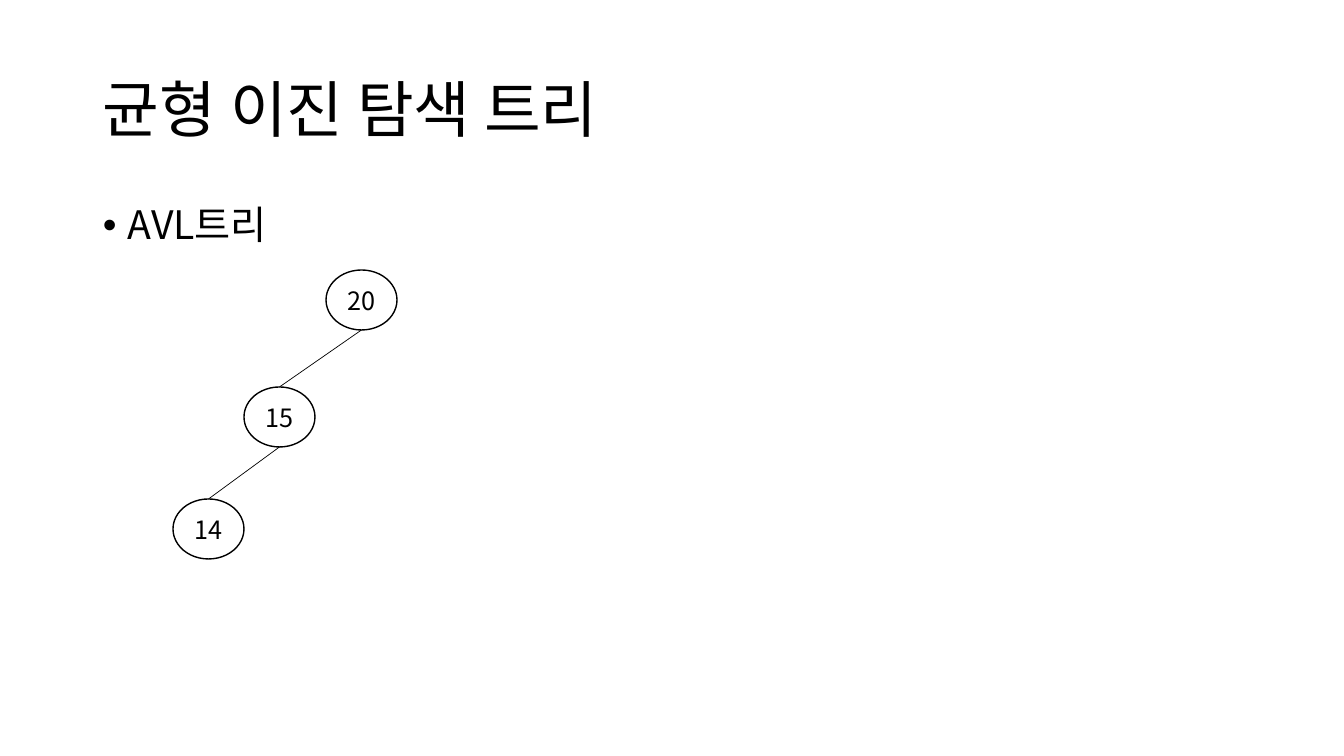
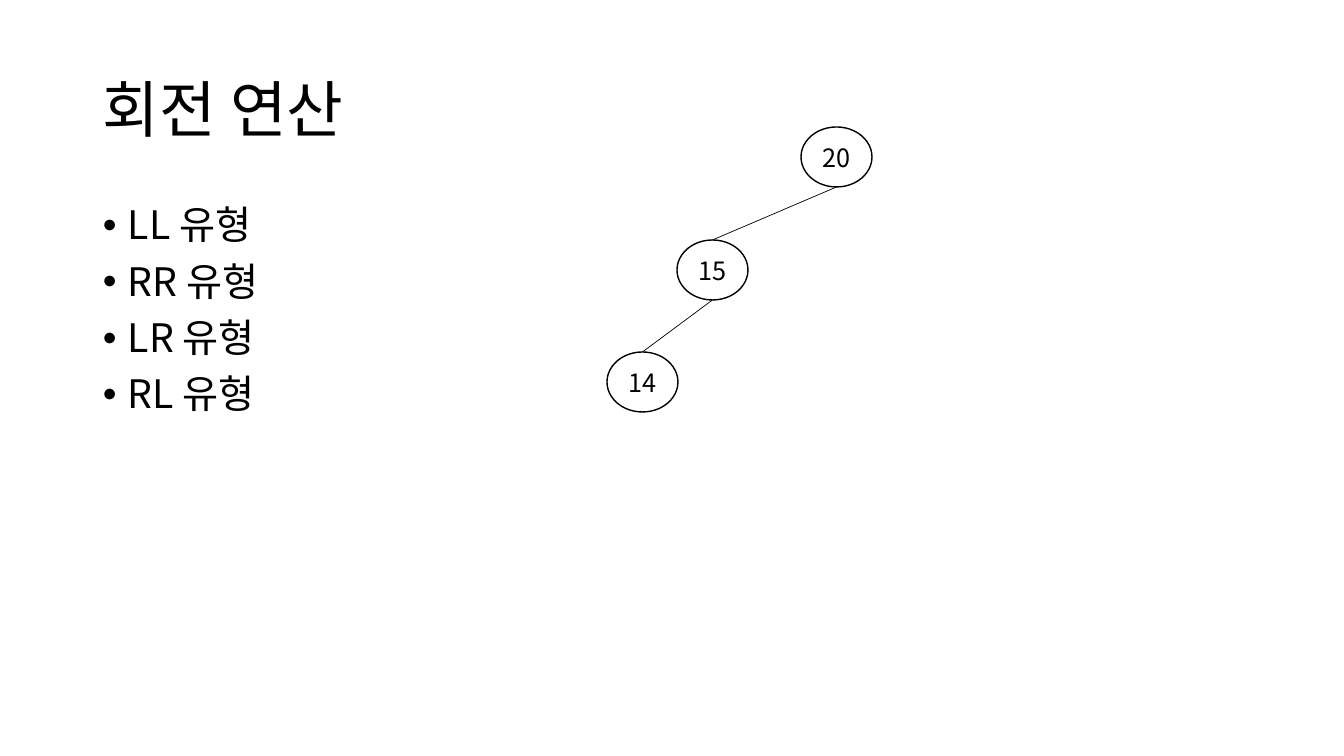
from dataclasses import dataclass

from lxml.etree import SubElement
from pptx import Presentation
from pptx.dml.color import RGBColor
from pptx.enum.shapes import MSO_CONNECTOR, MSO_SHAPE
from pptx.enum.text import MSO_ANCHOR, PP_ALIGN
from pptx.oxml.ns import qn
from pptx.util import Emu, Pt

# Content: node positions are left and top, listed from root to leaf
SLIDES = [
    {
        "title": "균형 이진 탐색 트리",
        "bullets": ["AVL트리"],
        "nodes": [("20", 326, 270), ("15", 244, 387), ("14", 173, 499)],
    },
    {
        "title": "회전 연산",
        "bullets": ["LL 유형", "RR 유형", "LR 유형", "RL 유형"],
        "nodes": [("20", 801, 127), ("15", 677, 240), ("14", 607, 352)],
    },
]

# Layout in pixels
SLIDE_SIZE = (1344, 756)
TITLE_BOX = (93, 40, 1159, 146)
BODY_BOX = (93, 201, 1159, 480)
NODE_WIDTH, NODE_HEIGHT = 71, 60
BULLET_INDENT = 25


@dataclass(frozen=True)
class Theme:
    font: str = "Noto Sans CJK KR"
    ink: RGBColor = RGBColor(0, 0, 0)
    title_size: int = 44
    body_size: int = 28
    node_size: int = 18
    node_line: float = 1
    edge_line: float = 0.5


THEME = Theme()
TITLE_FORMAT = {"line_spacing": 0.9}
BULLET_FORMAT = {"line_spacing": 0.9, "space_before": Pt(10)}
NODE_FORMAT = {"alignment": PP_ALIGN.CENTER}


def pixels(length):
    return Emu(round(length * 914400 / 100.8))


def set_attributes(target, values):
    for name, value in values.items():
        setattr(target, name, value)


# Text
def write_paragraph(paragraph, text, size, paragraph_format):
    set_attributes(paragraph, paragraph_format)
    run = paragraph.add_run()
    run.text = text
    set_attributes(run.font, {"size": Pt(size), "name": THEME.font})
    run.font.color.rgb = THEME.ink
    east_asian = SubElement(run.font._element, qn("a:ea"))
    east_asian.set("typeface", THEME.font)


def add_bullet(paragraph):
    properties = paragraph._p.get_or_add_pPr()
    properties.set("marL", str(pixels(BULLET_INDENT)))
    properties.set("indent", str(-pixels(BULLET_INDENT)))
    SubElement(properties, qn("a:buFont")).set("typeface", "Arial")
    SubElement(properties, qn("a:buChar")).set("char", "•")


def add_text_frame(slide, box, anchor):
    frame = slide.shapes.add_textbox(*map(pixels, box)).text_frame
    set_attributes(frame, {"word_wrap": True, "vertical_anchor": anchor})
    return frame


def add_title(slide, text):
    frame = add_text_frame(slide, TITLE_BOX, MSO_ANCHOR.MIDDLE)
    write_paragraph(frame.paragraphs[0], text, THEME.title_size, TITLE_FORMAT)


def add_bullets(slide, lines):
    frame = add_text_frame(slide, BODY_BOX, MSO_ANCHOR.TOP)
    for index, text in enumerate(lines):
        paragraph = frame.add_paragraph() if index else frame.paragraphs[0]
        write_paragraph(paragraph, text, THEME.body_size, BULLET_FORMAT)
        add_bullet(paragraph)


# Tree
def style_line(line, width):
    line.color.rgb = THEME.ink
    line.width = Pt(width)


def add_node(slide, label, left, top):
    box = map(pixels, (left, top, NODE_WIDTH, NODE_HEIGHT))
    shape = slide.shapes.add_shape(MSO_SHAPE.OVAL, *box)
    shape.shadow.inherit = False
    shape.fill.background()
    style_line(shape.line, THEME.node_line)
    frame = shape.text_frame
    set_attributes(frame, {"vertical_anchor": MSO_ANCHOR.MIDDLE,
                           "margin_left": 0, "margin_right": 0})
    write_paragraph(frame.paragraphs[0], label, THEME.node_size, NODE_FORMAT)


def add_edge(slide, parent, child):
    (_, parent_left, parent_top), (_, child_left, child_top) = parent, child
    middle = NODE_WIDTH / 2
    ends = (parent_left + middle, parent_top + NODE_HEIGHT,
            child_left + middle, child_top)
    connector = slide.shapes.add_connector(
        MSO_CONNECTOR.STRAIGHT, *map(pixels, ends))
    style_line(connector.line, THEME.edge_line)
    SubElement(connector._element.spPr, qn("a:effectLst"))


def add_tree(slide, nodes):
    for node in nodes:
        add_node(slide, *node)
    for parent, child in zip(nodes, nodes[1:]):
        add_edge(slide, parent, child)


# Build the slides
presentation = Presentation()
presentation.slide_width, presentation.slide_height = map(pixels, SLIDE_SIZE)
blank_layout = presentation.slide_layouts[6]
for content in SLIDES:
    slide = presentation.slides.add_slide(blank_layout)
    add_title(slide, content["title"])
    add_bullets(slide, content["bullets"])
    add_tree(slide, content["nodes"])

presentation.save("out.pptx")
